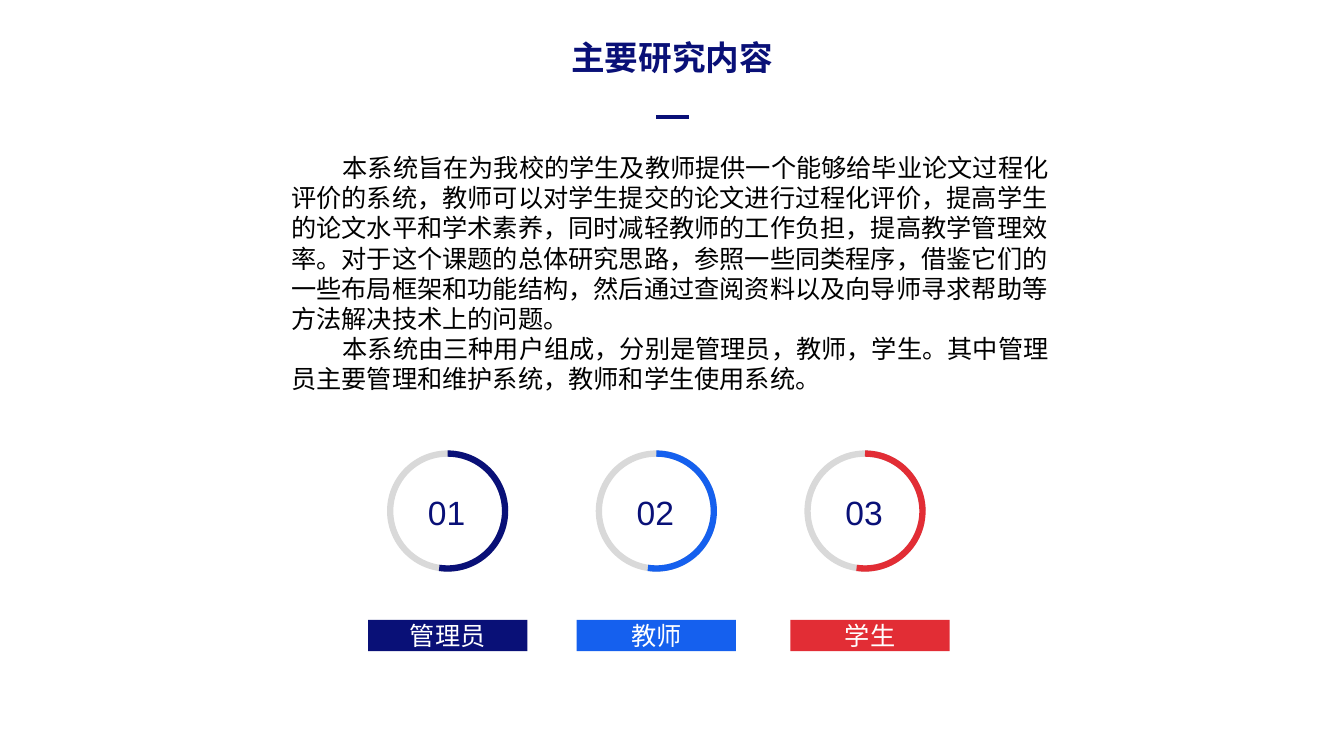
from pptx import Presentation
from pptx.dml.color import RGBColor
from pptx.enum.shapes import MSO_CONNECTOR, MSO_SHAPE
from pptx.enum.text import MSO_ANCHOR, PP_ALIGN
from pptx.oxml.xmlchemy import OxmlElement
from pptx.util import Inches, Pt

TITLE = "主要研究内容"
BODY = [
    "本系统旨在为我校的学生及教师提供一个能够给毕业论文过程化评价的系统，"
    "教师可以对学生提交的论文进行过程化评价，提高学生的论文水平和学术素养，"
    "同时减轻教师的工作负担，提高教学管理效率。对于这个课题的总体研究思路，"
    "参照一些同类程序，借鉴它们的一些布局框架和功能结构，"
    "然后通过查阅资料以及向导师寻求帮助等方法解决技术上的问题。",
    "本系统由三种用户组成，分别是管理员，教师，学生。"
    "其中管理员主要管理和维护系统，教师和学生使用系统。",
]
# number, role, colour name, left edge of the label
ROLES = [
    ("01", "管理员", "navy", 3.65),
    ("02", "教师", "blue", 5.72),
    ("03", "学生", "red", 7.84),
]

THEME = {
    "navy": RGBColor.from_string("091077"),
    "blue": RGBColor.from_string("1560EE"),
    "red": RGBColor.from_string("E22D35"),
    "track": RGBColor.from_string("D9D9D9"),
    "white": RGBColor.from_string("FFFFFF"),
    "black": RGBColor.from_string("000000"),
    "heading_size": Pt(24),
    "text_size": Pt(18),
    "heading_font": "Arial",
    "body_font": "Calibri",
}

RING_LEFT, RING_TOP, RING_SIZE, RING_PITCH = 3.87, 4.5, 1.14, 2.07
TRACK_ARC = (6.75, 0)
PROGRESS_ARC = (162, 59.04)
FIRST_LINE_INDENT = Inches(0.51)


def style(para, size, color, font="heading_font", align=PP_ALIGN.CENTER, bold=False):
    para.alignment = align
    para.font.size = THEME[size]
    para.font.color.rgb = THEME[color]
    para.font.name = THEME[font]
    para.font.bold = bold


def add_text(page, text, left, top, width, height):
    box = page.shapes.add_textbox(Inches(left), Inches(top), Inches(width), Inches(height))
    box.text_frame.word_wrap = True
    box.text_frame.text = text
    return box.text_frame.paragraphs


def add_title(page):
    style(add_text(page, TITLE, 5.07, 0.32, 3.19, 0.5)[0], "heading_size", "navy", bold=True)
    rule = page.shapes.add_connector(
        MSO_CONNECTOR.STRAIGHT, Inches(6.51), Inches(1.16), Inches(6.83), Inches(1.16))
    rule.line.color.rgb = THEME["navy"]
    rule.line.width = Pt(2.5)
    rule._element.spPr.append(OxmlElement("a:effectLst"))


def add_body(page):
    for para in add_text(page, "\n".join(BODY), 2.79, 1.46, 7.75, 2.52):
        style(para, "text_size", "black", "body_font", PP_ALIGN.LEFT)
        para._p.get_or_add_pPr().set("indent", str(FIRST_LINE_INDENT))


def add_arc(page, left, angles, color):
    arc = page.shapes.add_shape(
        MSO_SHAPE.ARC, Inches(left), Inches(RING_TOP), Inches(RING_SIZE), Inches(RING_SIZE))
    arc.adjustments[0], arc.adjustments[1] = angles
    arc.shadow.inherit = False
    arc.fill.background()
    arc.line.color.rgb = THEME[color]
    arc.line.width = Pt(4.5)


def add_label(page, role, color, left):
    label = page.shapes.add_shape(
        MSO_SHAPE.RECTANGLE, Inches(left), Inches(6.15), Inches(1.58), Inches(0.31))
    label.shadow.inherit = False
    label.fill.solid()
    label.fill.fore_color.rgb = THEME[color]
    label.line.fill.background()
    frame = label.text_frame
    frame.vertical_anchor = MSO_ANCHOR.MIDDLE
    frame.text = role
    style(frame.paragraphs[0], "text_size", "white")


def main():
    deck = Presentation()
    deck.slide_width, deck.slide_height = Inches(13.33), Inches(7.5)
    page = deck.slides.add_slide(deck.slide_layouts[6])
    add_title(page)
    for index, (number, role, color, label_left) in enumerate(ROLES):
        ring_left = RING_LEFT + index * RING_PITCH
        add_label(page, role, color, label_left)
        add_arc(page, ring_left, TRACK_ARC, "track")
        add_arc(page, ring_left, PROGRESS_ARC, color)
        style(add_text(page, number, ring_left, 4.83, 1.12, 0.5)[0], "heading_size", "navy")
    add_body(page)
    deck.save("out.pptx")


if __name__ == "__main__":
    main()
